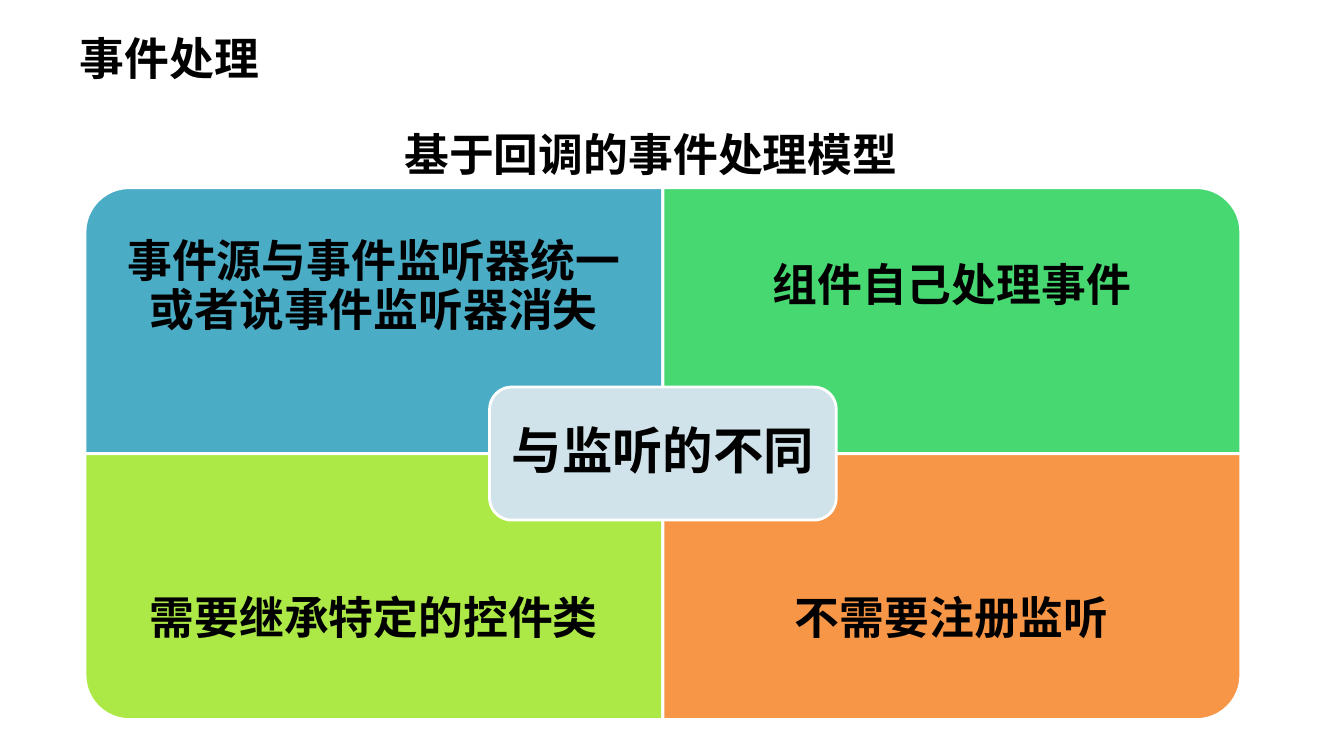
from dataclasses import dataclass

from pptx import Presentation
from pptx.dml.color import RGBColor
from pptx.enum.shapes import MSO_SHAPE
from pptx.enum.text import MSO_ANCHOR, MSO_AUTO_SIZE, PP_ALIGN
from pptx.oxml.ns import qn
from pptx.shapes.autoshape import Shape
from pptx.shapes.group import GroupShape
from pptx.text.text import TextFrame
from pptx.util import Pt


@dataclass(frozen=True)
class Theme:
    ink: str = "000000"
    outline: str = "FFFFFF"
    hub: str = "D0E3EA"
    title_font: str = "Noto Sans CJK SC"
    body_font: str = "Calibri"
    text_size: float = 32
    hub_size: float = 36
    outline_width: float = 2
    line_spacing: float = 0.9
    after_ratio: float = 0.35


@dataclass(frozen=True)
class Area:
    left: float
    top: float
    width: float
    height: float


@dataclass(frozen=True)
class Quadrant:
    label: str
    fill: str
    column: int
    row: int
    rotation: int


THEME = Theme()
CENTER_X, CENTER_Y = 473.5, 324
QUADRANT_WIDTH, QUADRANT_HEIGHT = 412.8, 190
LABEL_HEIGHT = QUADRANT_HEIGHT * 0.75
HUB_WIDTH, HUB_HEIGHT = 247.6, 95
HUB_INSET = 4.6

QUADRANTS = (
    Quadrant("事件源与事件监听器统一或者说事件监听器消失", "4BACC6", 0, 0, 270),
    Quadrant("组件自己处理事件", "47D872", 1, 0, 0),
    Quadrant("需要继承特定的控件类", "ACE946", 0, 1, 180),
    Quadrant("不需要注册监听", "F79646", 1, 1, 90),
)


def place(box: Shape, area: Area) -> None:
    box.left, box.top = Pt(area.left), Pt(area.top)
    box.width, box.height = Pt(area.width), Pt(area.height)


def write(frame: TextFrame, text: str, size: float, font: str, align: PP_ALIGN) -> None:
    para = frame.paragraphs[0]
    para.alignment = align
    span = para.add_run()
    span.text = text
    span.font.size = Pt(size)
    span.font.bold = True
    span.font.color.rgb = RGBColor.from_string(THEME.ink)
    span.font.name = font
    east_asian = span.font._element.makeelement(qn("a:ea"), {"typeface": font})
    span.font._element.find(qn("a:latin")).addnext(east_asian)


def add_panel(group: GroupShape, kind: MSO_SHAPE, area: Area, fill: str) -> Shape:
    panel = group.shapes.add_shape(
        kind, Pt(area.left), Pt(area.top), Pt(area.width), Pt(area.height)
    )
    panel.shadow.inherit = False
    panel.fill.solid()
    panel.fill.fore_color.rgb = RGBColor.from_string(fill)
    panel.line.color.rgb = RGBColor.from_string(THEME.outline)
    panel.line.width = Pt(THEME.outline_width)
    return panel


def add_label(group: GroupShape, area: Area, text: str, size: float, margin: float) -> None:
    box = group.shapes.add_textbox(
        Pt(area.left), Pt(area.top), Pt(area.width), Pt(area.height)
    )
    frame = box.text_frame
    frame.word_wrap = True
    frame.vertical_anchor = MSO_ANCHOR.MIDDLE
    frame.margin_left = frame.margin_right = Pt(margin)
    frame.margin_top = frame.margin_bottom = Pt(margin)
    write(frame, text, size, THEME.body_font, PP_ALIGN.CENTER)
    frame.paragraphs[0].line_spacing = THEME.line_spacing
    frame.paragraphs[0].space_after = Pt(size * THEME.after_ratio)


def add_quadrant(group: GroupShape, quadrant: Quadrant) -> None:
    left = CENTER_X + (quadrant.column - 1) * QUADRANT_WIDTH
    top = CENTER_Y + (quadrant.row - 1) * QUADRANT_HEIGHT
    width, height = QUADRANT_WIDTH, QUADRANT_HEIGHT
    if quadrant.rotation % 180:
        width, height = height, width
    area = Area(
        left + (QUADRANT_WIDTH - width) / 2,
        top + (QUADRANT_HEIGHT - height) / 2,
        width,
        height,
    )
    panel = add_panel(group, MSO_SHAPE.ROUND_1_RECTANGLE, area, quadrant.fill)
    panel.rotation = quadrant.rotation
    label_top = top + quadrant.row * (QUADRANT_HEIGHT - LABEL_HEIGHT)
    label_area = Area(left, label_top, QUADRANT_WIDTH, LABEL_HEIGHT)
    add_label(group, label_area, quadrant.label, THEME.text_size, 18)


def add_hub(group: GroupShape) -> None:
    area = Area(
        CENTER_X - HUB_WIDTH / 2, CENTER_Y - HUB_HEIGHT / 2, HUB_WIDTH, HUB_HEIGHT
    )
    add_panel(group, MSO_SHAPE.ROUNDED_RECTANGLE, area, THEME.hub)
    label_area = Area(
        area.left + HUB_INSET,
        area.top + HUB_INSET,
        HUB_WIDTH - 2 * HUB_INSET,
        HUB_HEIGHT - 2 * HUB_INSET,
    )
    add_label(group, label_area, "与监听的不同", THEME.hub_size, 10.8)


def main() -> None:
    deck = Presentation()
    deck.slide_width, deck.slide_height = Pt(960), Pt(540)
    page = deck.slides.add_slide(deck.slide_layouts[5])

    title = page.shapes.title
    place(title, Area(49.7, 18, 373, 46))
    title.text_frame.auto_size = MSO_AUTO_SIZE.NONE
    title.text_frame.vertical_anchor = MSO_ANCHOR.MIDDLE
    write(title.text_frame, "事件处理", THEME.text_size, THEME.title_font, PP_ALIGN.LEFT)

    heading = page.shapes.add_textbox(Pt(280), Pt(87), Pt(370), Pt(46))
    heading.text_frame.word_wrap = False
    heading.text_frame.auto_size = MSO_AUTO_SIZE.SHAPE_TO_FIT_TEXT
    write(
        heading.text_frame,
        "基于回调的事件处理模型",
        THEME.text_size,
        THEME.body_font,
        PP_ALIGN.CENTER,
    )

    matrix = page.shapes.add_group_shape()
    for quadrant in QUADRANTS:
        add_quadrant(matrix, quadrant)
    add_hub(matrix)

    deck.save("out.pptx")


if __name__ == "__main__":
    main()
